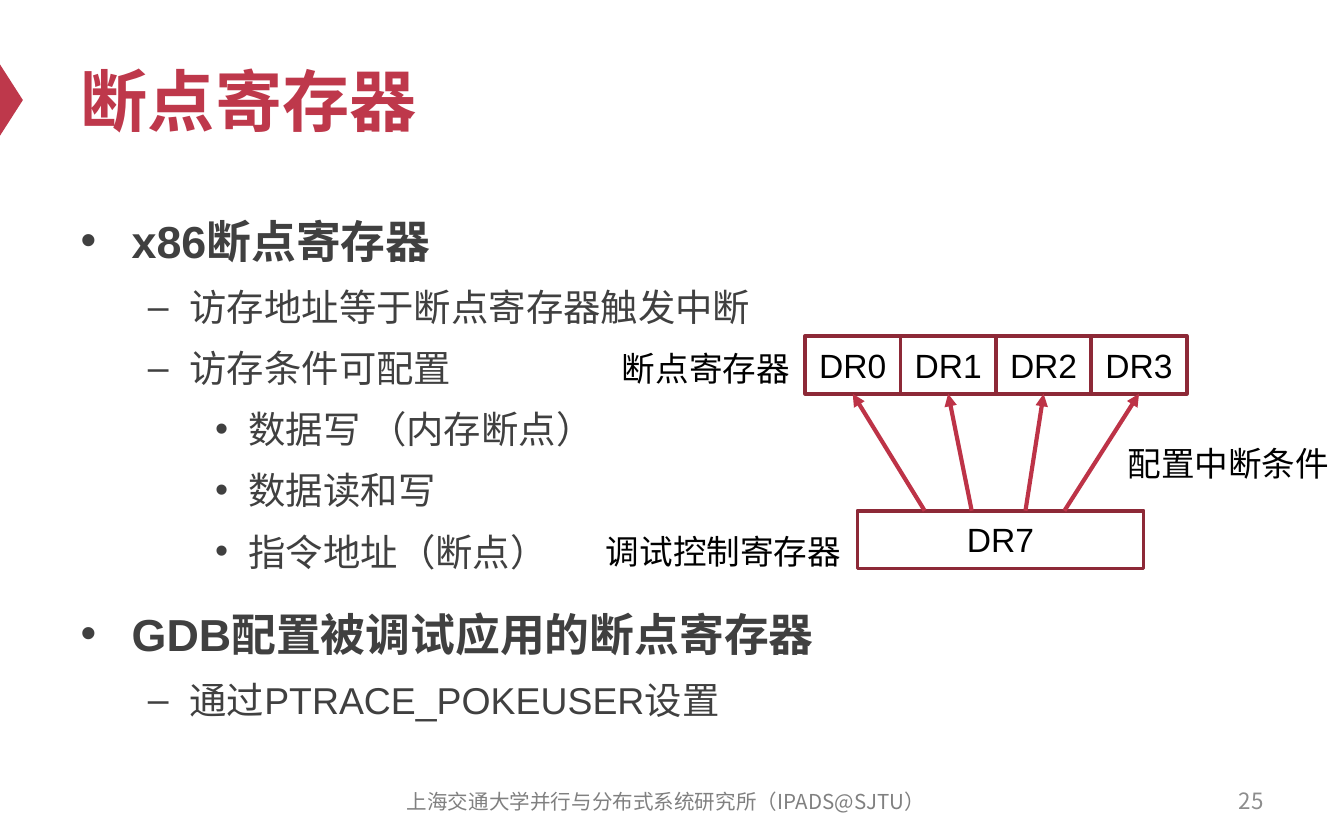
import pptx
import pptx.util
import pptx.dml.color
import pptx.enum.text
import pptx.enum.shapes
import pptx.oxml
import pptx.oxml.ns

Inches, Pt = pptx.util.Inches, pptx.util.Pt
ALIGN = pptx.enum.text.PP_ALIGN
ANCHOR = pptx.enum.text.MSO_ANCHOR
SHAPE = pptx.enum.shapes.MSO_SHAPE

THEME = {
    "font": "Arial", "small": "Noto Sans CJK SC",
    "red": "BE384B", "arrow": "BD3347", "edge": "8D2937",
    "text": "404040", "black": "000000", "foot": "808080", "page": "8C8C8C",
    "title": 36, "head": 24, "item": 20, "label": 18, "num": 12, "note": 11,
}

TITLE = "断点寄存器"
BODY = [
    (0, "x86断点寄存器"),
    (1, "访存地址等于断点寄存器触发中断"),
    (1, "访存条件可配置"),
    (2, "数据写 （内存断点）"),
    (2, "数据读和写"),
    (2, "指令地址（断点）"),
    (0, "GDB配置被调试应用的断点寄存器"),
    (1, "通过PTRACE_POKEUSER设置"),
]
LEVELS = [
    (0.38, 0.38, "•", "head", 12),
    (0.81, 0.31, "–", "item", 4),
    (1.25, 0.25, "•", "item", 4),
]
REGS = ["DR0", "DR1", "DR2", "DR3"]
STARTS = [6.88, 7.23, 7.63, 7.92]
LABELS = [
    ("断点寄存器", 4.53, 2.54, 1.46),
    ("调试控制寄存器", 4.41, 3.9, 1.97),
    ("配置中断条件", 8.29, 3.25, 1.72),
]
FOOT = [
    ("25", 7.17, 5.79, 2.33, ALIGN.RIGHT, "num", "page"),
    ("上海交通大学并行与分布式系统研究所（IPADS@SJTU）", 2.79, 5.8, 4.33,
     ALIGN.CENTER, "note", "foot"),
]
REG_X, REG_Y, REG_W, BOX_H = 5.99, 2.5, 0.71, 0.43
CTRL_X, CTRL_Y, CTRL_W = 6.38, 3.8, 2.13


def color(name):
    return pptx.dml.color.RGBColor.from_string(THEME[name])


def place(shape, *area):
    shape.left, shape.top, shape.width, shape.height = map(Inches, area)


def style(para, size, tint, bold=False, face="font"):
    font = para.font
    font.name, font.size, font.bold = THEME[face], Pt(THEME[size]), bold
    font.color.rgb = color(tint)


def add_xml(parent, text):
    space = pptx.oxml.ns.nsdecls("a")
    parent.append(pptx.oxml.parse_xml(text.replace("/>", f" {space}/>")))


def add_text(slide, text, area, size, tint, face="font", align=ALIGN.LEFT,
             anchor=ANCHOR.TOP, wrap=False):
    box = slide.shapes.add_textbox(*map(Inches, area))
    frame = box.text_frame
    frame.word_wrap, frame.vertical_anchor = wrap, anchor
    para = frame.paragraphs[0]
    para.text, para.alignment = text, align
    style(para, size, tint, face=face)


def add_box(slide, text, *area):
    box = slide.shapes.add_shape(SHAPE.RECTANGLE, *map(Inches, area))
    box.shadow.inherit = False
    box.fill.background()
    box.line.color.rgb, box.line.width = color("edge"), Pt(2)
    box.text_frame.vertical_anchor = ANCHOR.MIDDLE
    para = box.text_frame.paragraphs[0]
    para.text, para.alignment = text, ALIGN.CENTER
    style(para, "label", "black")
    return box


def add_arrow(slide, x, y, box):
    start = Inches(x), Inches(y)
    line = slide.shapes.add_connector(
        pptx.enum.shapes.MSO_CONNECTOR.STRAIGHT, *start, *start)
    line.end_connect(box, 2)
    line.line.color.rgb, line.line.width = color("arrow"), Pt(2.25)
    add_xml(line.line._get_or_add_ln(), '<a:tailEnd type="triangle"/>')
    add_xml(line._element.spPr, "<a:effectLst/>")


def fill_title(title):
    place(title, 0.5, 0.25, 9, 0.98)
    title.text_frame.text = TITLE
    title.text_frame.vertical_anchor = ANCHOR.MIDDLE
    para = title.text_frame.paragraphs[0]
    para.alignment = ALIGN.LEFT
    style(para, "title", "red", True)


def fill_body(body):
    place(body, 0.5, 1.46, 9, 4.12)
    frame = body.text_frame
    frame.text = "\n".join(text for level, text in BODY)
    for i, (para, (level, text)) in enumerate(zip(frame.paragraphs, BODY)):
        left, hang, mark, size, gap = LEVELS[level]
        para.level, para.line_spacing = level, 1.2
        para.space_before = Pt(gap if i else 0)
        props = para._p.get_or_add_pPr()
        props.set("marL", str(Inches(left)))
        props.set("indent", str(-Inches(hang)))
        add_xml(props, '<a:buFont typeface="Arial"/>')
        add_xml(props, f'<a:buChar char="{mark}"/>')
        style(para, size, "text", level == 0)


def main():
    deck = pptx.Presentation()
    deck.slide_width, deck.slide_height = Inches(10), Inches(6.25)
    slide = deck.slides.add_slide(deck.slide_layouts[1])
    fill_title(slide.shapes.title)
    fill_body(slide.placeholders[1])

    mark = slide.shapes.add_shape(
        SHAPE.ISOSCELES_TRIANGLE, *map(Inches, (-0.18, 0.66, 0.53, 0.17)))
    mark.rotation, mark.shadow.inherit = 90, False
    mark.fill.solid()
    mark.fill.fore_color.rgb = color("red")
    mark.line.fill.background()

    for text, x, y, w, align, size, tint in FOOT:
        add_text(slide, text, (x, y, w, 0.33), size, tint, "small", align,
                 ANCHOR.MIDDLE, True)
    for text, x, y, w in LABELS:
        add_text(slide, text, (x, y, w, 0.4), "label", "black")

    add_box(slide, "DR7", CTRL_X, CTRL_Y, CTRL_W, BOX_H)
    regs = [add_box(slide, text, REG_X + i * REG_W, REG_Y, REG_W, BOX_H)
            for i, text in enumerate(REGS)]
    for x, reg in zip(STARTS, regs):
        add_arrow(slide, x, CTRL_Y, reg)
    deck.save("out.pptx")


if __name__ == "__main__":
    main()
